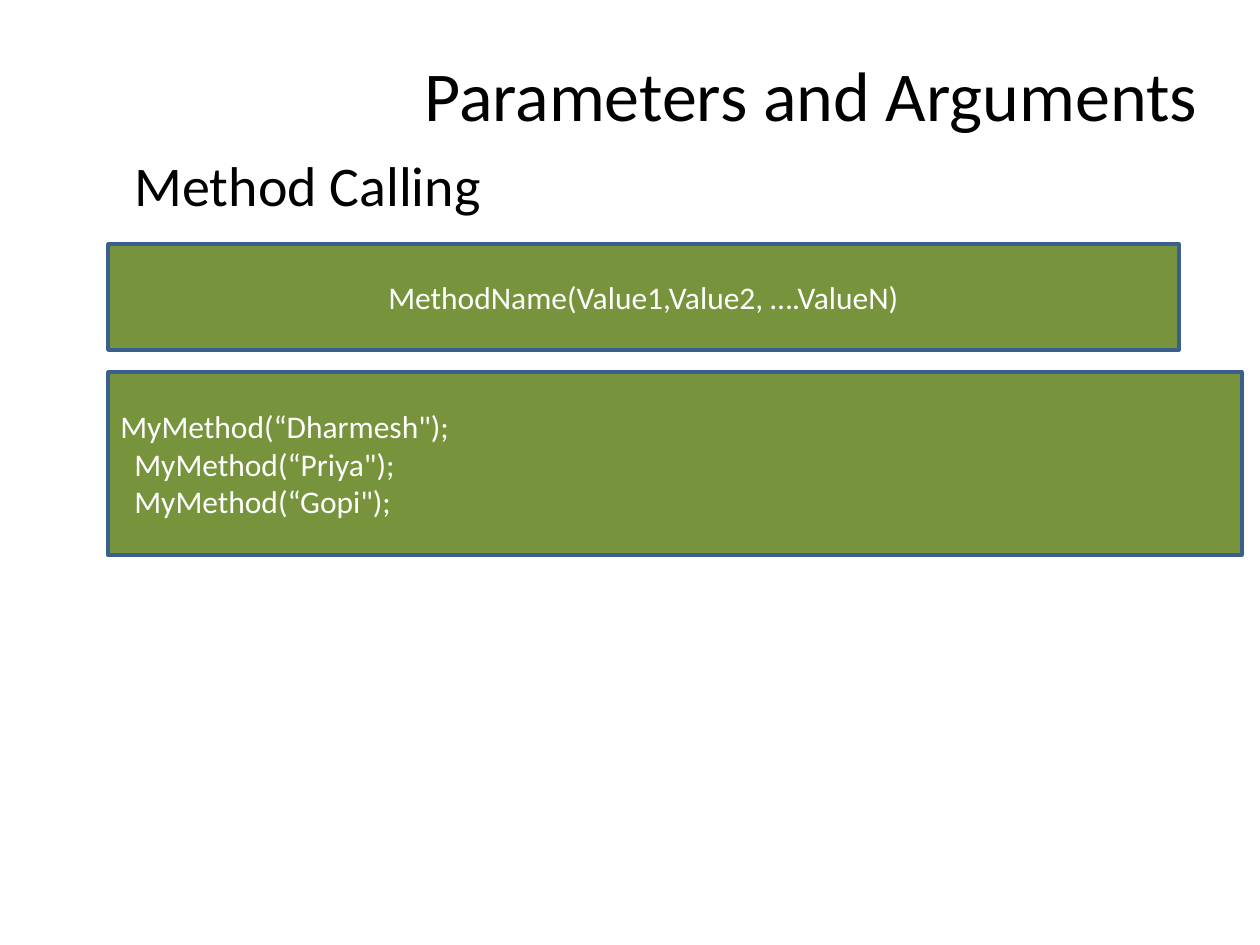
from pptx import Presentation
from pptx.dml.color import RGBColor
from pptx.enum.shapes import MSO_SHAPE
from pptx.enum.text import MSO_ANCHOR, MSO_AUTO_SIZE, PP_ALIGN
from pptx.util import Pt

PX = 7257  # EMU per px, at 126 px to the inch


def color(hex_text):
    return RGBColor.from_string(hex_text)


def write(shape, text, size, hex_text, align, anchor, wrap):
    frame = shape.text_frame
    frame.text = text
    frame.word_wrap = wrap
    frame.auto_size = MSO_AUTO_SIZE.NONE if wrap else MSO_AUTO_SIZE.SHAPE_TO_FIT_TEXT
    frame.vertical_anchor = anchor
    for para in frame.paragraphs:
        para.alignment = align
        for span in para.runs:
            span.font.name = "Calibri"
            span.font.size = Pt(size)
            span.font.color.rgb = color(hex_text)


deck = Presentation()
deck.slide_width, deck.slide_height = 1260 * PX, 945 * PX
page = deck.slides.add_slide(deck.slide_layouts[5])

# Title
title = page.shapes.title
title.left, title.top, title.width, title.height = 412 * PX, 45 * PX, 806 * PX, 97 * PX
write(title, "Parameters and Arguments", 40, "000000", PP_ALIGN.LEFT, MSO_ANCHOR.TOP, False)

# Call syntax and example calls
calls = "\n".join(f'MyMethod(“{name}");' for name in ("Dharmesh", "Priya", "Gopi"))
panels = [
    (244, 1071, 106, "MethodName(Value1,Value2, ….ValueN)", PP_ALIGN.CENTER),
    (372, 1134, 183, calls, PP_ALIGN.LEFT),
]
for top, width, height, text, align in panels:
    box = page.shapes.add_shape(MSO_SHAPE.RECTANGLE, 108 * PX, top * PX, width * PX, height * PX)
    box.shadow.inherit = False
    box.fill.solid()
    box.fill.fore_color.rgb = color("77933C")
    box.line.color.rgb = color("3A5F8C")
    box.line.width = Pt(2)
    write(box, text, 18, "FFFFFF", align, MSO_ANCHOR.MIDDLE, True)
    # Calls after the first are indented
    for para in box.text_frame.paragraphs[1:]:
        para._p.get_or_add_pPr().set("marL", str(14 * PX))

# Section heading
heading = page.shapes.add_textbox(122 * PX, 144 * PX, 375 * PX, 81 * PX)
write(heading, "Method Calling", 32, "000000", PP_ALIGN.LEFT, MSO_ANCHOR.TOP, False)

deck.save("out.pptx")
